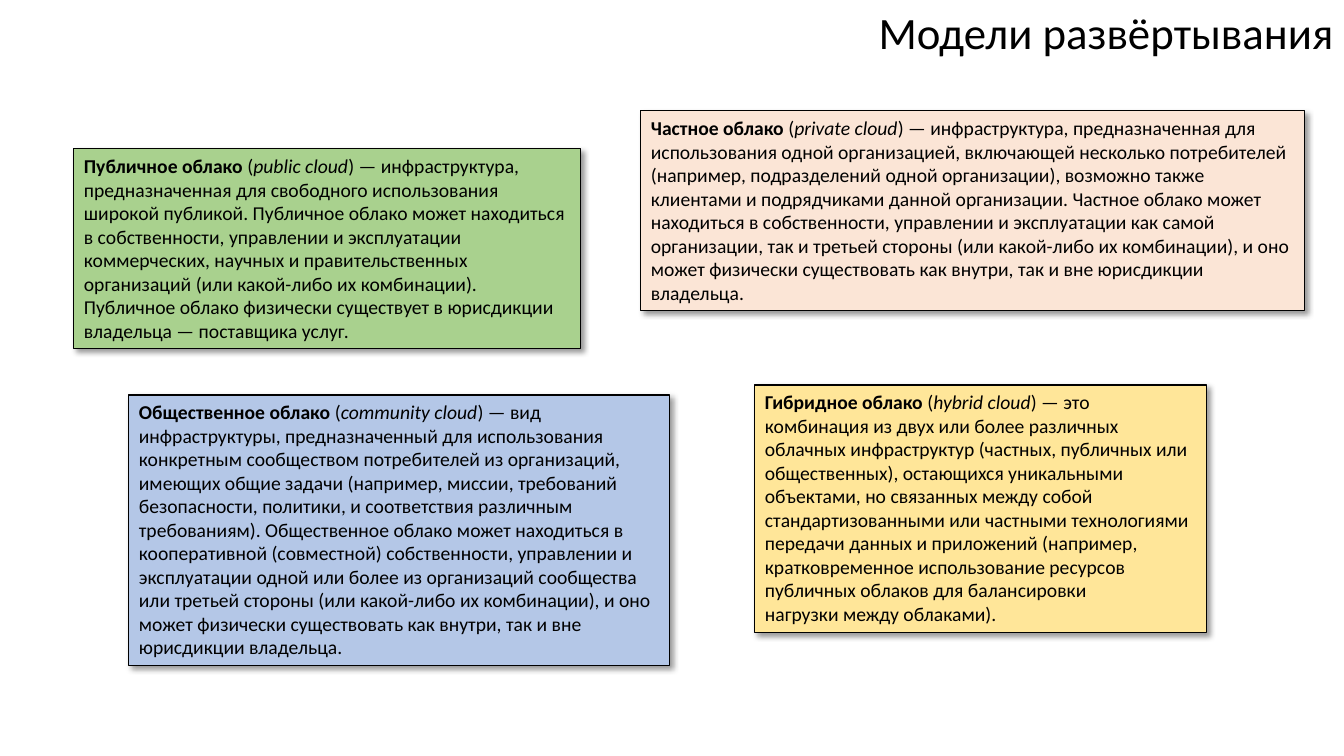
from lxml import etree
from pptx import Presentation
from pptx.dml.color import RGBColor
from pptx.enum.shapes import MSO_SHAPE
from pptx.enum.text import MSO_ANCHOR, MSO_AUTO_SIZE, PP_ALIGN
from pptx.oxml.ns import qn
from pptx.util import Pt

RECTANGLE = MSO_SHAPE.RECTANGLE
TOP = MSO_ANCHOR.TOP
GROW = MSO_AUTO_SIZE.SHAPE_TO_FIT_TEXT
LEFT, RIGHT = PP_ALIGN.LEFT, PP_ALIGN.RIGHT

SCALE = 914400 / 100.8  # EMU per pixel
TITLE_ONLY = 5
FONT = "Calibri"
BLACK = "000000"

# Each card: box in pixels, fill, term, English term, definition
CLOUDS = [
    ((74, 149, 507, 200), "A9D18E", "Публичное облако", "public cloud",
     "инфраструктура, предназначенная для свободного использования широкой публикой. "
     "Публичное облако может находиться в собственности, управлении и эксплуатации "
     "коммерческих, научных и правительственных организаций (или какой-либо их комбинации). "
     "Публичное облако физически существует в юрисдикции владельца\u00a0— поставщика услуг."),
    ((641, 111, 664, 200), "FBE5D6", "Частное облако", "private cloud",
     "инфраструктура, предназначенная для использования одной организацией, включающей "
     "несколько потребителей (например, подразделений одной организации), возможно также "
     "клиентами и подрядчиками данной организации. Частное облако может находиться в "
     "собственности, управлении и эксплуатации как самой организации, так и третьей стороны "
     "(или какой-либо их комбинации), и оно может физически существовать как внутри, так и "
     "вне юрисдикции владельца."),
    ((129, 395, 541, 271), "B4C7E7", "Общественное облако", "community cloud",
     "вид инфраструктуры, предназначенный для использования конкретным сообществом "
     "потребителей из организаций, имеющих общие задачи (например, миссии, требований "
     "безопасности, политики, и соответствия различным требованиям). Общественное облако "
     "может находиться в кооперативной (совместной) собственности, управлении и эксплуатации "
     "одной или более из организаций сообщества или третьей стороны (или какой-либо их "
     "комбинации), и оно может физически существовать как внутри, так и вне юрисдикции "
     "владельца."),
    ((755, 385, 452, 248), "FFE699", "Гибридное облако", "hybrid cloud",
     "это комбинация из двух или более различных облачных инфраструктур (частных, публичных "
     "или общественных), остающихся уникальными объектами, но связанных между собой "
     "стандартизованными или частными технологиями передачи данных и приложений (например, "
     "кратковременное использование ресурсов публичных облаков для балансировки "
     "нагрузки\u00a0между облаками)."),
]


def px(value):
    return round(value * SCALE)


def color(value):
    return RGBColor.from_string(value)


def set_all(target, values):
    for name, value in values.items():
        setattr(target, name, value)


def add_span(para, text, size, **style):
    span = para.add_run()
    span.text = text
    set_all(span.font, {"name": FONT, "size": Pt(size), **style})
    span.font.color.rgb = color(BLACK)


def add_shadow(shape):
    """Soft shadow to the lower right: 4 pt blur, 3 pt away, 40 % black."""
    shape.shadow.inherit = False
    effects = shape._element.spPr.find(qn("a:effectLst"))
    shadow = etree.SubElement(effects, qn("a:outerShdw"), {
        "blurRad": str(Pt(4)), "dist": str(Pt(3)), "dir": str(45 * 60000),
        "algn": "tl", "rotWithShape": "0"})
    shade = etree.SubElement(shadow, qn("a:srgbClr"), val=BLACK)
    etree.SubElement(shade, qn("a:alpha"), val="40000")


def place_title(page, box, text):
    title = page.shapes.title
    set_all(title, dict(zip(("left", "top", "width", "height"), map(px, box))))
    set_all(title.text_frame, {"word_wrap": False, "auto_size": GROW, "vertical_anchor": TOP})
    para = title.text_frame.paragraphs[0]
    para.alignment = RIGHT
    add_span(para, text, 32)


def place_card(page, box, fill, term, english, definition):
    card = page.shapes.add_shape(RECTANGLE, *map(px, box))
    card.fill.solid()
    card.fill.fore_color.rgb = color(fill)
    card.line.color.rgb = color(BLACK)
    card.line.width = Pt(0.75)
    add_shadow(card)
    set_all(card.text_frame, {"word_wrap": True, "auto_size": GROW, "vertical_anchor": TOP})
    para = card.text_frame.paragraphs[0]
    para.alignment = LEFT
    add_span(para, term + "\u00a0", 14, bold=True)
    add_span(para, "(", 14)
    add_span(para, english, 14, italic=True)
    add_span(para, ")\u00a0— " + definition, 14)


deck = Presentation()
set_all(deck, {"slide_width": px(1344), "slide_height": px(756)})
page = deck.slides.add_slide(deck.slide_layouts[TITLE_ONLY])

# Heading in the top right corner
place_title(page, (864, 0, 480, 64), "Модели развёртывания")

# Four deployment models
for cloud in CLOUDS:
    place_card(page, *cloud)

deck.save("out.pptx")
